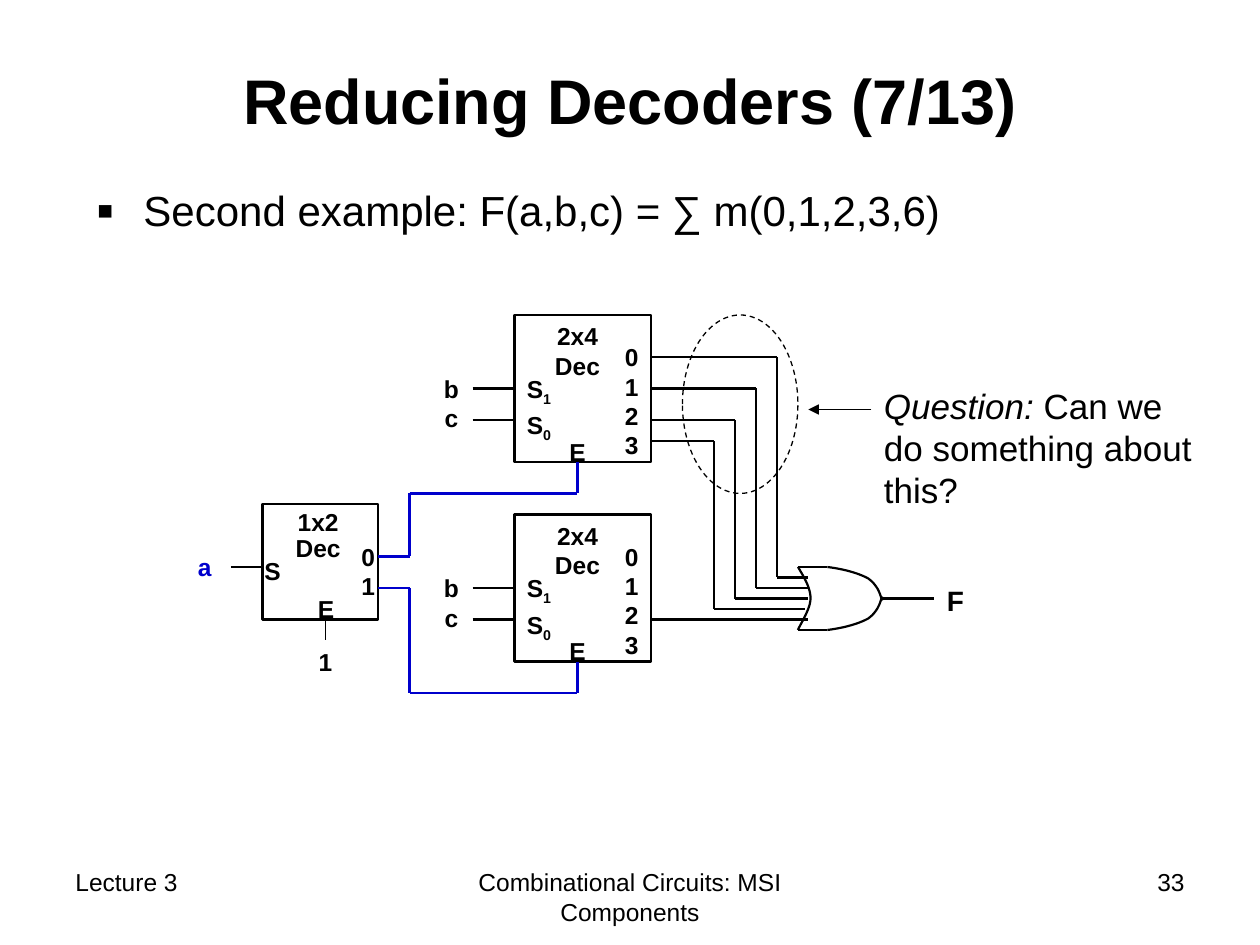
from dataclasses import dataclass

from lxml import etree
from pptx import Presentation
from pptx.dml.color import RGBColor
from pptx.enum.dml import MSO_LINE
from pptx.enum.shapes import MSO_CONNECTOR, MSO_SHAPE
from pptx.enum.text import MSO_ANCHOR, PP_ALIGN
from pptx.oxml.ns import qn
from pptx.util import Cm, Pt


@dataclass(frozen=True)
class Theme:
    font: str = "Arial"
    ink: RGBColor = RGBColor(0x00, 0x00, 0x00)
    signal: RGBColor = RGBColor(0x00, 0x00, 0xCC)
    title: Pt = Pt(36)
    body: Pt = Pt(24)
    note: Pt = Pt(20)
    output: Pt = Pt(16)
    label: Pt = Pt(14)
    thin: Pt = Pt(0.75)
    wire: Pt = Pt(1.25)
    frame: Pt = Pt(1.5)


theme = Theme()
GRID = Cm(2.54) / 12  # the whole drawing sits on this module
LEFT, CENTER, RIGHT = PP_ALIGN.LEFT, PP_ALIGN.CENTER, PP_ALIGN.RIGHT

prs = Presentation()
prs.slide_width, prs.slide_height = Cm(25.4), Cm(19.05)
s = prs.slides.add_slide(prs.slide_layouts[5])


def add_text(box, lines, size=theme.label, align=CENTER, bold=True,
             color=theme.ink, gap=0, spacing=None, sp=None):
    """Each line is a list of (text, style) runs; box is in grid units."""
    x, y, w, h = (round(v * GRID) for v in box)
    if sp is None:
        sp = s.shapes.add_textbox(x, y, w, h)
    sp.left, sp.top, sp.width, sp.height = x, y, w, h
    tf = sp.text_frame
    tf.word_wrap = True
    for i, line in enumerate(lines):
        p = tf.paragraphs[0] if i == 0 else tf.add_paragraph()
        p.alignment = align
        if i and gap:
            p.space_before = gap
        if spacing:
            p.line_spacing = spacing
        for text, style in line:
            r = p.add_run()
            r.text = text
            r.font.name, r.font.size, r.font.bold = theme.font, size, bold
            r.font.color.rgb = color
            if style == "italic":
                r.font.italic = True
            elif style == "sub":
                r.font._element.set("baseline", "-25000")
    return sp


def add_wire(points, color=theme.ink, width=theme.wire, arrow=False):
    """Straight connectors through the grid points."""
    for start, end in zip(points, points[1:]):
        c = s.shapes.add_connector(
            MSO_CONNECTOR.STRAIGHT, *(round(v * GRID) for v in start + end))
        c.line.color.rgb, c.line.width = color, width
        if arrow:
            etree.SubElement(c.line._get_or_add_ln(), qn("a:tailEnd"), type="triangle")
        etree.SubElement(c._element.spPr, qn("a:effectLst"))


# Title
title = add_text((9, 2, 102, 15), [[("Reducing Decoders (7/13)", "")]],
                 theme.title, sp=s.shapes.title)
title.text_frame.vertical_anchor = MSO_ANCHOR.MIDDLE

# Bulleted statement
body = add_text((8, 17, 101, 7),
                [[("Second example: F(a,b,c) = ∑ m(0,1,2,3,6)", "")]],
                theme.body, LEFT, bold=False)
pPr = body.text_frame.paragraphs[0]._p.get_or_add_pPr()
pPr.set("marL", str(Cm(0.95)))
pPr.set("indent", str(-Cm(0.95)))
etree.SubElement(pPr, qn("a:buSzPct"), val="120000")
etree.SubElement(pPr, qn("a:buFont"), typeface=theme.font)
etree.SubElement(pPr, qn("a:buChar"), char="▪")

# Footer
for x, w, text, align in ((6, 28, "Lecture 3", LEFT),
                          (41, 38, "Combinational Circuits: MSI Components", CENTER),
                          (86, 28, "33", RIGHT)):
    add_text((x, 82, w, 6.2), [[(text, "")]], align=align, bold=False)

# Decoder frames and the dashed ring around the wires in question
for kind, box, width in ((MSO_SHAPE.RECTANGLE, (49, 30, 13, 14), theme.frame),
                         (MSO_SHAPE.RECTANGLE, (49, 49, 13, 14), theme.frame),
                         (MSO_SHAPE.RECTANGLE, (25, 48, 11, 11), theme.frame),
                         (MSO_SHAPE.OVAL, (65, 30, 11, 17), theme.thin)):
    sp = s.shapes.add_shape(kind, *(round(v * GRID) for v in box))
    sp.shadow.inherit = False
    sp.fill.background()
    sp.line.color.rgb, sp.line.width = theme.ink, width
    if kind == MSO_SHAPE.OVAL:
        sp.line.dash_style = MSO_LINE.DASH

# Labels and inputs of the two 2x4 decoders
for top in (30, 49):
    add_text((50, top, 10, 6.8), [[("2x4", "")], [("Dec", "")]])
    add_text((49, top + 5, 5.5, 8), [[("S", ""), (n, "sub")] for n in "10"],
             align=LEFT, gap=Pt(1.8))
    add_text((57, top + 2, 5, 12.5), [[(n, "")] for n in "0123"], align=RIGHT)
    add_text((53, top + 11, 4, 4), [[("E", "")]])
    add_text((41, top + 5, 4, 6.8), [[("b", "")], [("c", "")]])
    for y in (top + 7, top + 10):
        add_wire([(45, y), (49, y)])

# Labels and inputs of the 1x2 decoder
add_text((25.3, 48, 10, 6.2), [[("1x2", "")], [("Dec", "")]], spacing=0.9)
add_text((24, 52.4, 5.6, 4), [[("S", "")]], align=LEFT)
add_text((31.9, 51, 5, 6.8), [[("0", "")], [("1", "")]], align=RIGHT)
add_text((28.9, 56, 4.3, 4), [[("E", "")]])
add_text((17, 52, 5, 4), [[("a", "")]], color=theme.signal)
add_text((28, 61, 6, 4), [[("1", "")]])
add_wire([(22, 54), (25, 54)])
add_wire([(31, 59), (31, 61)], width=theme.thin)

# Enable wires from the 1x2 decoder
for y, turn, enable in ((53, 47, 44), (56, 66, 63)):
    add_wire([(36, y), (39, y), (39, turn), (55, turn), (55, enable)], theme.signal)

# Decoder outputs to the OR gate
for i, (y, end) in enumerate(((34, 77), (37, 77), (40, 77), (42, 76.7))):
    bend = 74 - 2 * i
    add_wire([(62, y), (bend, y), (bend, 55 + i), (end, 55 + i)])
add_wire([(62, 59), (77, 59)])

# OR gate: back edge, then the upper curve and its mirror about y = 57
back = [(76, 54), (76.6, 55), (77.2, 56), (77.2, 57), (77.2, 58), (76.2, 59.5), (76, 60)]
upper = [(78.8, 54), (80.4, 54.2), (81.8, 54.6), (82.7, 55.1),
         (83.5, 55.7), (83.8, 56.4), (84, 57.2)]
lower = [(x, 114 - y) for x, y in upper]
STEPS = 12
for curve in (back, upper, lower):
    points = [curve[0]]
    for k in (0, 3):
        for step in range(1, STEPS + 1):
            t = step / STEPS
            weights = ((1 - t) ** 3, 3 * t * (1 - t) ** 2, 3 * t ** 2 * (1 - t), t ** 3)
            points.append(tuple(sum(w * q[axis] for w, q in zip(weights, curve[k:k + 4]))
                                for axis in (0, 1)))
    points = [(round(x * GRID), round(y * GRID)) for x, y in points]
    builder = s.shapes.build_freeform(*points[0])
    builder.add_line_segments(points[1:], close=False)
    sp = builder.convert_to_shape()
    sp.shadow.inherit = False
    sp.fill.background()
    sp.line.color.rgb, sp.line.width = theme.ink, theme.wire
for y in (54, 60):
    add_wire([(76, y), (78.8, y)])
add_wire([(84, 57), (89, 57)])
add_text((89, 55, 4, 4.4), [[("F", "")]], theme.output, LEFT)

# Question with its arrow
add_wire([(83, 39), (77, 39)], width=theme.thin, arrow=True)
add_text((83, 36, 32, 13.2),
         [[("Question:", "italic"), (" Can we do something about this?", "")]],
         theme.note, LEFT, bold=False)

prs.save("out.pptx")
